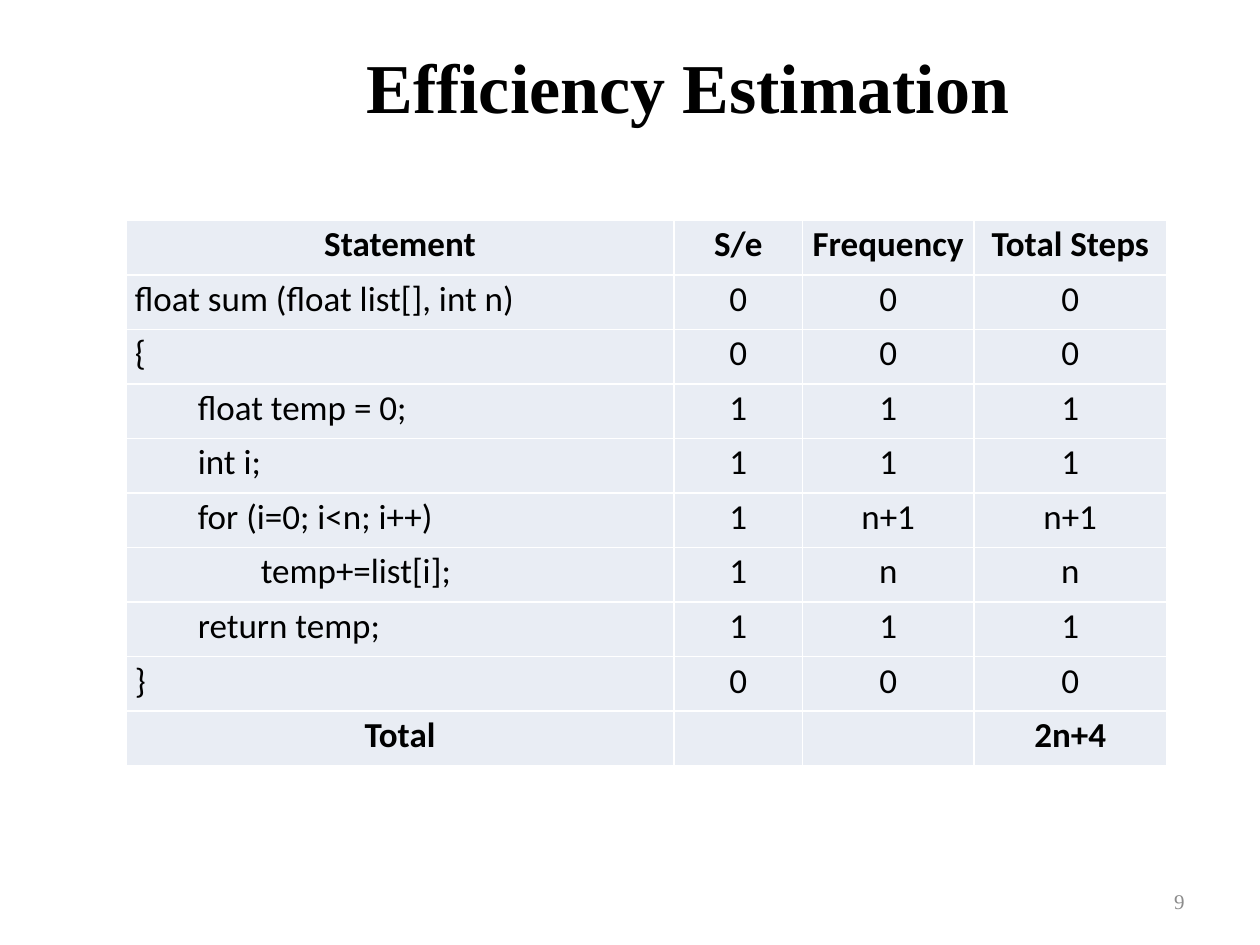
"""Build a slide that estimates the step count of a summing function."""
from dataclasses import dataclass

from lxml.etree import SubElement
from pptx import Presentation
from pptx.dml.color import RGBColor
from pptx.enum.text import MSO_VERTICAL_ANCHOR as Anchor, PP_PARAGRAPH_ALIGNMENT as Align
from pptx.oxml.ns import qn
from pptx.slide import Slide
from pptx.table import Table, _Cell as Cell
from pptx.text.text import TextFrame
from pptx.util import Inches, Pt

BLACK = RGBColor(0x00, 0x00, 0x00)
WHITE = RGBColor(0xFF, 0xFF, 0xFF)
GREY = RGBColor(0x8C, 0x8C, 0x8C)
PALE_BLUE = RGBColor(0xE9, 0xED, 0xF4)
SERIF, SANS = "Times New Roman", "Calibri"

SLIDE_WIDTH, SLIDE_HEIGHT = Inches(10), Inches(7.5)
COLUMN_WIDTHS = (4.35, 1.02, 1.36, 1.53)
TABLE_LEFT, TABLE_TOP, TABLE_HEIGHT = 1, 1.75, 4.33
INDENT_STEP = 0.5


@dataclass(frozen=True)
class Step:
    """One table row: a statement, its three counts and its format."""

    statement: str
    counts: tuple[str, str, str]
    level: int = 0
    heading: bool = False


@dataclass(frozen=True)
class Area:
    """A rectangle given as shares of the slide's size."""

    left: float
    top: float
    width: float
    height: float


STEPS = (
    Step("Statement", ("S/e", "Frequency", "Total Steps"), heading=True),
    Step("float sum (float list[], int n)", ("0", "0", "0")),
    Step("{", ("0", "0", "0")),
    Step("float temp = 0;", ("1", "1", "1"), level=1),
    Step("int i;", ("1", "1", "1"), level=1),
    Step("for (i=0; i<n; i++)", ("1", "n+1", "n+1"), level=1),
    Step("temp+=list[i];", ("1", "n", "n"), level=2),
    Step("return temp;", ("1", "1", "1"), level=1),
    Step("}", ("0", "0", "0")),
    Step("Total", ("", "", "2n+4"), heading=True),
)
TITLE_AREA = Area(0.096, 0.007, 0.9, 0.167)
NUMBER_AREA = Area(0.717, 0.927, 0.233, 0.053)


def write_text(frame: TextFrame, text: str, *, size: float, font: str = SANS,
               color: RGBColor = BLACK, bold: bool = False, align: Align = Align.CENTER,
               indent: float = 0, line_spacing: float = 1.0) -> None:
    """Write one formatted paragraph into a text frame."""
    paragraph = frame.paragraphs[0]
    paragraph.alignment = align
    paragraph.line_spacing = line_spacing
    if indent:
        properties = paragraph._p.get_or_add_pPr()
        properties.set("marL", str(Inches(indent)))
        properties.set("indent", "0")
    paragraph.font.size = Pt(size)
    if text:
        run = paragraph.add_run()
        run.text = text
        run.font.name, run.font.size, run.font.bold = font, Pt(size), bold
        run.font.color.rgb = color


def add_text_box(slide: Slide, area: Area, text: str, **text_format) -> None:
    """Add a wrapped, vertically centred text box."""
    shape = slide.shapes.add_textbox(
        round(SLIDE_WIDTH * area.left), round(SLIDE_HEIGHT * area.top),
        round(SLIDE_WIDTH * area.width), round(SLIDE_HEIGHT * area.height))
    shape.text_frame.word_wrap = True
    shape.text_frame.vertical_anchor = Anchor.MIDDLE
    write_text(shape.text_frame, text, **text_format)


def style_cell(cell: Cell) -> None:
    """Give a cell its margins, white borders and fill."""
    cell.margin_left = cell.margin_right = Inches(0.07)
    cell.margin_top = cell.margin_bottom = 0
    properties = cell._tc.get_or_add_tcPr()
    for side in ("lnL", "lnR", "lnT", "lnB"):
        line = SubElement(properties, qn(f"a:{side}"), w=str(Pt(1)))
        fill = SubElement(line, qn("a:solidFill"))
        SubElement(fill, qn("a:srgbClr"), val=str(WHITE))
    cell.fill.solid()
    cell.fill.fore_color.rgb = PALE_BLUE


def fill_row(table: Table, row: int, step: Step) -> None:
    """Write one step into a table row."""
    for column, text in enumerate((step.statement, *step.counts)):
        cell = table.cell(row, column)
        style_cell(cell)
        is_code = column == 0 and not step.heading
        write_text(cell.text_frame, text, size=20, bold=step.heading, line_spacing=1.07,
                   align=Align.LEFT if is_code else Align.CENTER,
                   indent=step.level * INDENT_STEP if is_code else 0)


def add_step_table(slide: Slide, steps: tuple[Step, ...]) -> None:
    """Add the table of statements and step counts."""
    table = slide.shapes.add_table(
        len(steps), len(COLUMN_WIDTHS), Inches(TABLE_LEFT), Inches(TABLE_TOP),
        Inches(sum(COLUMN_WIDTHS)), Inches(TABLE_HEIGHT)).table
    table.first_row = table.horz_banding = False
    for column, width in zip(table.columns, COLUMN_WIDTHS):
        column.width = Inches(width)
    for row, step in enumerate(steps):
        fill_row(table, row, step)


def main() -> None:
    """Build and save the presentation."""
    presentation = Presentation()
    presentation.slide_width, presentation.slide_height = SLIDE_WIDTH, SLIDE_HEIGHT
    slide = presentation.slides.add_slide(presentation.slide_layouts[6])
    add_step_table(slide, STEPS)
    add_text_box(slide, NUMBER_AREA, "9", size=12, font=SERIF, color=GREY, align=Align.RIGHT)
    add_text_box(slide, TITLE_AREA, "Efficiency Estimation", size=40, font=SERIF, bold=True)
    presentation.save("out.pptx")


if __name__ == "__main__":
    main()
